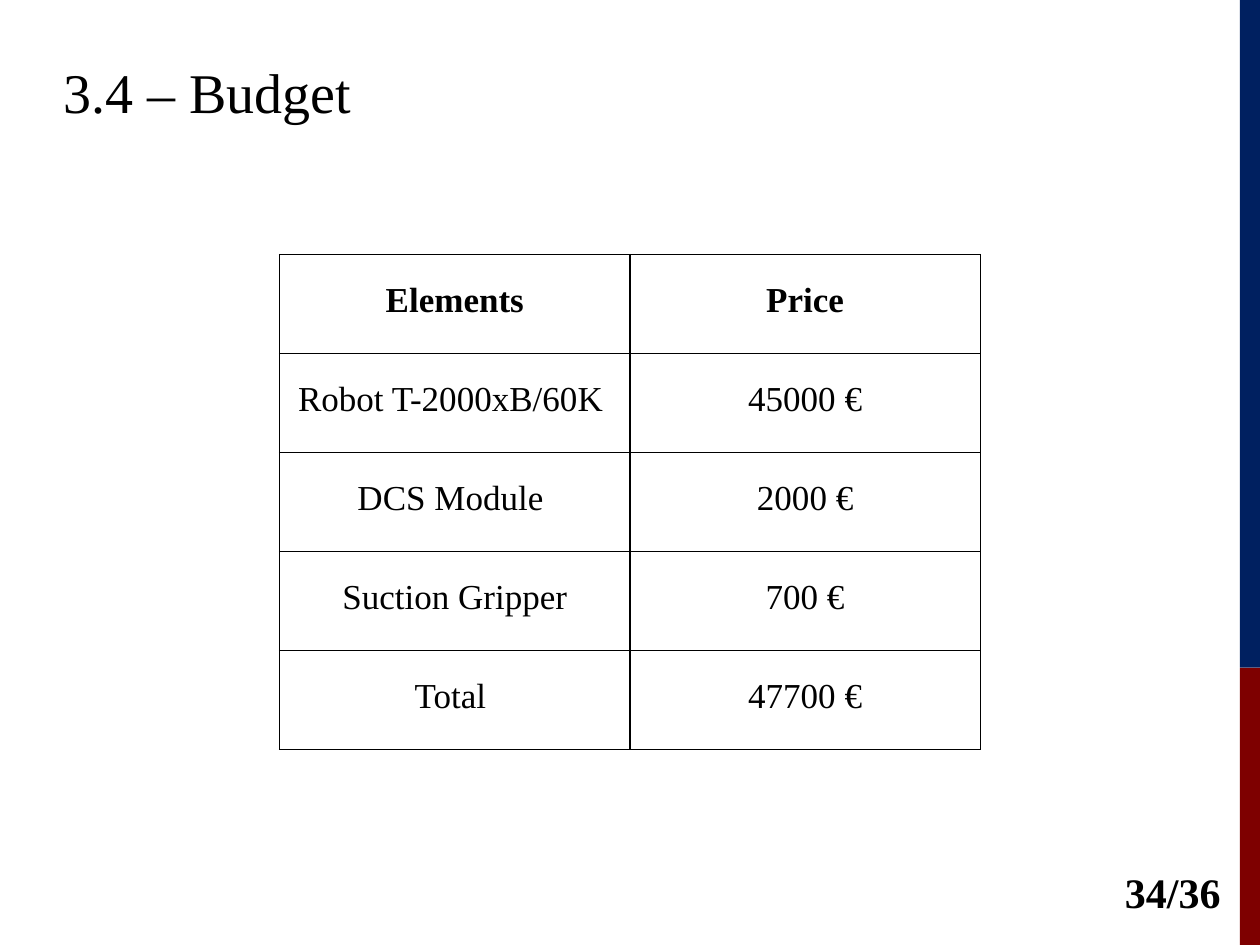
from dataclasses import dataclass

from lxml import etree
from pptx import Presentation
from pptx.dml.color import RGBColor
from pptx.enum.shapes import MSO_SHAPE
from pptx.enum.text import MSO_ANCHOR, MSO_AUTO_SIZE, PP_ALIGN
from pptx.oxml.ns import qn
from pptx.util import Inches, Pt

RECTANGLE = MSO_SHAPE.RECTANGLE
MIDDLE, BOTTOM = MSO_ANCHOR.MIDDLE, MSO_ANCHOR.BOTTOM
NO_AUTOFIT = MSO_AUTO_SIZE.NONE
LEFT, CENTER = PP_ALIGN.LEFT, PP_ALIGN.CENTER

FONT = "Times New Roman"
BLACK, NAVY, DARK_RED = "000000", "002060", "7E0000"
SLIDE_WIDTH, SLIDE_HEIGHT = 10, 7.5
BAR_WIDTH = 0.16


@dataclass
class Bar:
    top: float
    bottom: float
    color: str


BARS = [Bar(0, 5.3, NAVY), Bar(5.3, SLIDE_HEIGHT, DARK_RED)]

# Non-breaking spaces keep each amount with its currency sign
BUDGET = [
    ("Elements", "Price"),
    ("Robot T-2000xB/60K ", "45000 €"),
    ("DCS Module ", "2000 €"),
    ("Suction Gripper", "700 €"),
    ("Total ", "47700 €"),
]


def rgb(color: str) -> RGBColor:
    return RGBColor.from_string(color)


def add_span(para, text: str, size: float, bold: bool = False) -> None:
    span = para.add_run()
    span.text = text
    span.font.name = FONT
    span.font.size = Pt(size)
    span.font.bold = bold
    span.font.color.rgb = rgb(BLACK)


def add_bar(page, bar: Bar) -> None:
    box = page.shapes.add_shape(
        RECTANGLE, Inches(SLIDE_WIDTH - BAR_WIDTH), Inches(bar.top),
        Inches(BAR_WIDTH), Inches(bar.bottom - bar.top))
    box.shadow.inherit = False
    box.fill.solid()
    box.fill.fore_color.rgb = rgb(bar.color)
    box.line.fill.background()


def format_title(page) -> None:
    title = page.shapes.title
    title.left, title.top = Inches(0.39), Inches(0.39)
    title.width, title.height = Inches(7.89), Inches(0.63)
    frame = title.text_frame
    frame.auto_size = NO_AUTOFIT
    frame.vertical_anchor = BOTTOM
    frame.margin_bottom = Inches(0.03)
    para = frame.paragraphs[0]
    para.alignment = LEFT
    # Hanging indent
    properties = para._p.get_or_add_pPr()
    properties.set("marL", str(Inches(0.24)))
    properties.set("indent", str(Inches(-0.23)))
    add_span(para, "3.4 – Budget", 32)


def add_borders(cell, color: str, width: float) -> None:
    properties = cell._tc.get_or_add_tcPr()
    for side in ("a:lnL", "a:lnR", "a:lnT", "a:lnB"):
        line = etree.SubElement(properties, qn(side), w=str(Pt(width)))
        fill = etree.SubElement(line, qn("a:solidFill"))
        etree.SubElement(fill, qn("a:srgbClr"), val=color)


def add_budget(page) -> None:
    table = page.shapes.add_table(
        len(BUDGET), len(BUDGET[0]), Inches(2.22), Inches(2.02),
        Inches(5.56), Inches(3.93)).table
    for row, texts in enumerate(BUDGET):
        for column, text in enumerate(texts):
            cell = table.cell(row, column)
            add_borders(cell, BLACK, 1)
            cell.fill.background()
            cell.vertical_anchor = MIDDLE
            para = cell.text_frame.paragraphs[0]
            para.alignment = CENTER
            para.line_spacing = 0.69
            add_span(para, text, 20, bold=row == 0)


def add_page_number(page) -> None:
    box = page.shapes.add_textbox(
        Inches(8.83), Inches(6.88), Inches(1.44), Inches(0.4))
    frame = box.text_frame
    frame.word_wrap = True
    frame.vertical_anchor = MIDDLE
    add_span(frame.paragraphs[0], "34/36", 24, bold=True)


def main() -> None:
    deck = Presentation()
    deck.slide_width, deck.slide_height = Inches(SLIDE_WIDTH), Inches(SLIDE_HEIGHT)
    page = deck.slides.add_slide(deck.slide_layouts[5])

    # Coloured strip down the right edge
    for bar in BARS:
        add_bar(page, bar)

    # Content
    add_budget(page)
    format_title(page)
    add_page_number(page)
    deck.save("out.pptx")


if __name__ == "__main__":
    main()
